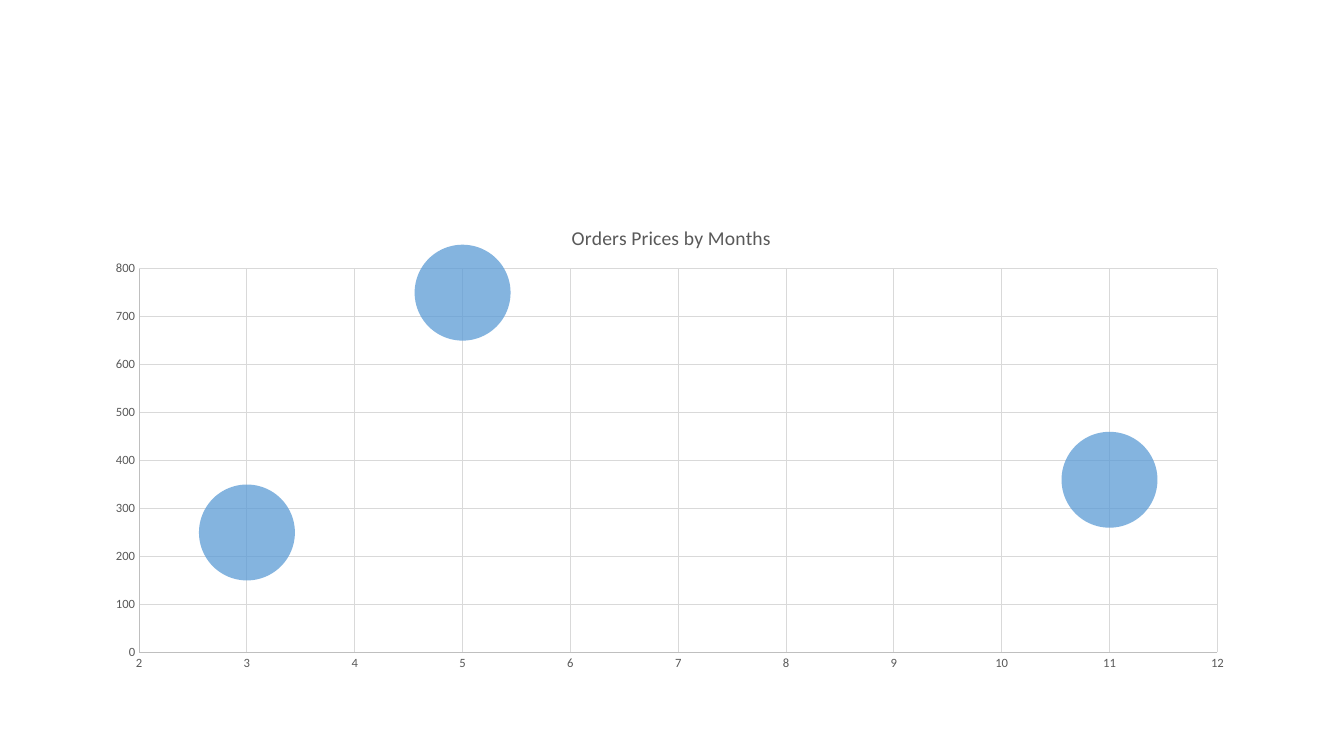
"""Build a slide with a bubble chart of order prices by month."""
from typing import NamedTuple

from lxml.etree import SubElement
from pptx import Presentation
from pptx.chart.axis import ValueAxis
from pptx.chart.chart import Chart
from pptx.chart.data import BubbleChartData
from pptx.dml.color import RGBColor
from pptx.enum.chart import XL_CHART_TYPE, XL_TICK_MARK
from pptx.oxml.ns import qn
from pptx.text.text import Font
from pptx.util import Inches, Pt


class Order(NamedTuple):
    month: int
    price: int
    size: int = 1


class Scale(NamedTuple):
    low: int
    high: int
    step: int


ORDERS = [Order(5, 750), Order(11, 360), Order(3, 250)]
MONTHS = Scale(2, 12, 1)
PRICES = Scale(0, 800, 100)


def color(code: str) -> RGBColor:
    """Turn a hex string into a colour."""
    return RGBColor.from_string(code)


def set_font(font: Font, size: int, code: str) -> None:
    """Set face, size and colour of a font."""
    font.name = "Calibri"
    font.size = Pt(size)
    font.bold = False
    font.color.rgb = color(code)


def set_axis(axis: ValueAxis, scale: Scale) -> None:
    """Give an axis its scale, labels, line and grid."""
    axis.minimum_scale, axis.maximum_scale, axis.major_unit = scale
    axis.major_tick_mark = axis.minor_tick_mark = XL_TICK_MARK.NONE
    axis.has_major_gridlines = True
    axis.tick_labels.number_format = "General"
    axis.tick_labels.number_format_is_linked = False
    set_font(axis.tick_labels.font, 9, "595959")
    for part, code in ((axis, "BFBFBF"), (axis.major_gridlines, "D9D9D9")):
        part.format.line.color.rgb = color(code)
        part.format.line.width = Pt(0.75)


def place(chart: Chart, tag: str, **spots: str) -> None:
    """Fix the place of a chart part as shares of the chart."""
    part = next(chart.element.iter(qn(tag)))
    layout = part.find(qn("c:layout"))
    if layout is None:
        layout = SubElement(part, qn("c:layout"))
        part.insert(0, layout)
    manual = SubElement(layout, qn("c:manualLayout"))
    if "w" in spots:
        SubElement(manual, qn("c:layoutTarget")).set("val", "inner")
    for side in ("x", "y"):
        SubElement(manual, qn(f"c:{side}Mode")).set("val", "edge")
    for name, share in spots.items():
        SubElement(manual, qn(f"c:{name}")).set("val", share)


def main() -> None:
    """Build and save the slide."""
    deck = Presentation()
    deck.slide_width, deck.slide_height = Inches(13.33), Inches(7.5)
    slide = deck.slides.add_slide(deck.slide_layouts[6])

    data = BubbleChartData()
    series = data.add_series("Series 1")
    for order in ORDERS:
        series.add_data_point(*order)
    chart = slide.shapes.add_chart(
        XL_CHART_TYPE.BUBBLE, Inches(0.92), Inches(2), Inches(11.5),
        Inches(4.76), data).chart
    set_font(chart.font, 10, "000000")
    chart.has_legend = False

    chart.has_title = True
    title = chart.chart_title.text_frame.paragraphs[0]
    title.text = "Orders Prices by Months"
    set_font(title.runs[0].font, 14, "595959")
    place(chart, "c:title", x="0.41", y="0.04")
    place(chart, "c:plotArea", x="0.04", y="0.14", w="0.93", h="0.8")

    set_axis(chart.category_axis, MONTHS)
    set_axis(chart.value_axis, PRICES)

    next(chart.element.iter(qn("c:varyColors"))).set("val", "0")
    bubbles = chart.plots[0].series[0].format
    bubbles.fill.solid()
    bubbles.fill.fore_color.rgb = color("5B9BD5")
    bubbles.line.fill.background()
    ser = next(chart.element.iter(qn("c:ser")))
    tint = ser.find(qn("c:spPr")).find(qn("a:solidFill"))[0]
    SubElement(tint, qn("a:alpha")).set("val", "75000")

    deck.save("out.pptx")


if __name__ == "__main__":
    main()
